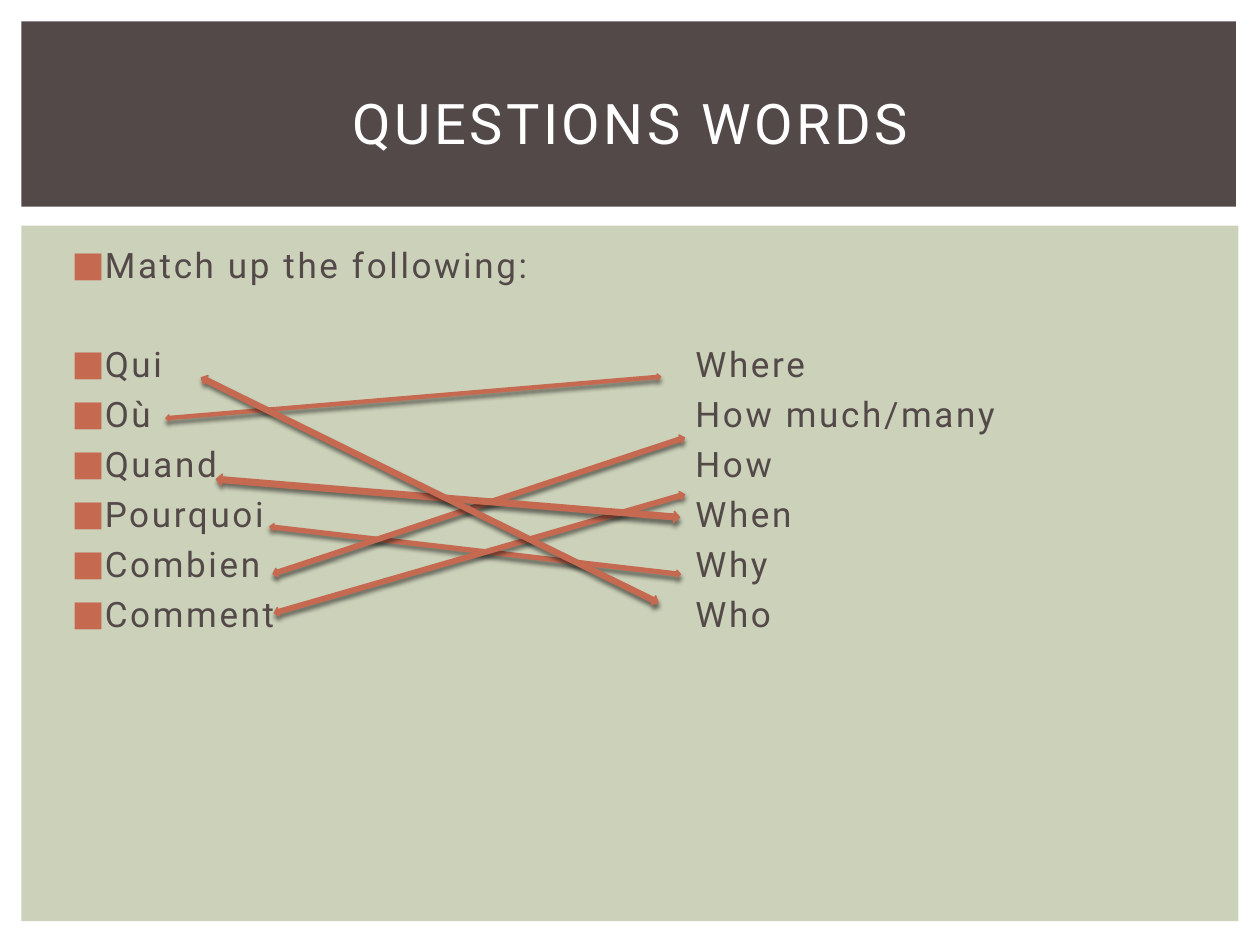
from dataclasses import dataclass

from lxml.etree import SubElement
from pptx import Presentation
from pptx.dml.color import RGBColor
from pptx.enum.shapes import MSO_SHAPE
from pptx.enum.text import MSO_ANCHOR, PP_ALIGN
from pptx.oxml.ns import qn
from pptx.util import Inches, Pt


@dataclass(frozen=True)
class Theme:
    font: str = "Roboto"
    dark: str = "534949"
    panel: str = "CCD1B9"
    accent: str = "C66951"
    white: str = "FFFFFF"
    title_size: float = 32
    body_size: float = 20
    line_gap: float = 4.6
    intro_gap: float = 32.7


@dataclass(frozen=True)
class MatchArrow:
    left: float
    top: float
    width: float
    height: float
    angle: float


THEME = Theme()
PAIRS = [("Qui", "Where"), ("Où", "How much/many"), ("Quand", "How"),
         ("Pourquoi", "When"), ("Combien", "Why"), ("Comment", "Who")]
ARROWS = [
    MatchArrow(2.13, 4.34, 3.28, 0.06, 6.6),    # Pourquoi - Why
    MatchArrow(2.11, 4.36, 3.39, 0.07, 343.9),  # Comment - How
    MatchArrow(2.08, 3.98, 3.44, 0.07, 341.7),  # Combien - How much/many
    MatchArrow(1.71, 3.91, 3.69, 0.09, 4.7),    # Quand - When
    MatchArrow(1.31, 3.13, 3.94, 0.05, 355.2),  # Où - Where
    MatchArrow(1.39, 3.85, 4.04, 0.08, 26.2),   # Qui - Who
]


def add_box(s, kind, left, top, width, height, color):
    sp = s.shapes.add_shape(kind, Inches(left), Inches(top),
                            Inches(width), Inches(height))
    sp.shadow.inherit = False
    sp.fill.solid()
    sp.fill.fore_color.rgb = RGBColor.from_string(color)
    sp.line.fill.background()
    return sp


def add_frame(s, left, top, width, height, anchor=MSO_ANCHOR.TOP):
    tf = s.shapes.add_textbox(Inches(left), Inches(top),
                              Inches(width), Inches(height)).text_frame
    tf.word_wrap = True
    tf.vertical_anchor = anchor
    return tf


def write(p, text: str, *, size: float, color: str, spacing: float,
          align=PP_ALIGN.LEFT, before: float = 0):
    p.alignment = align
    p.space_before = Pt(before)
    r = p.add_run()
    r.text = text
    r.font.name = THEME.font
    r.font.size = Pt(size)
    r.font.color.rgb = RGBColor.from_string(color)
    r._r.get_or_add_rPr().set("spc", str(round(spacing * 100)))


def add_bullet(p, tab: float):
    """Square bullet with a hanging indent and one tab stop."""
    pPr = p._p.get_or_add_pPr()
    pPr.set("marL", str(Inches(0.3)))
    pPr.set("indent", str(Inches(-0.25)))
    color = SubElement(pPr, qn("a:buClr"))
    SubElement(color, qn("a:srgbClr"), val=THEME.accent)
    SubElement(pPr, qn("a:buFont"), typeface=THEME.font)
    SubElement(pPr, qn("a:buChar"), char="■")
    tabs = SubElement(pPr, qn("a:tabLst"))
    SubElement(tabs, qn("a:tab"), pos=str(Inches(tab)), algn="l")


def add_arrow(s, arrow: MatchArrow):
    sp = add_box(s, MSO_SHAPE.LEFT_RIGHT_ARROW, arrow.left, arrow.top,
                 arrow.width, arrow.height, THEME.accent)
    sp.rotation = arrow.angle
    sp.line.color.rgb = RGBColor.from_string(THEME.accent)
    sp.line.width = Pt(0.79)
    effects = sp._element.spPr.find(qn("a:effectLst"))
    shadow = SubElement(effects, qn("a:outerShdw"), blurRad=str(Pt(2.5)),
                        dist=str(Pt(2)), dir="5400000", rotWithShape="0")
    black = SubElement(shadow, qn("a:srgbClr"), val="000000")
    SubElement(black, qn("a:alpha"), val="50000")


prs = Presentation()
prs.slide_width, prs.slide_height = Inches(10), Inches(7.5)
s = prs.slides.add_slide(prs.slide_layouts[6])

# Background panels
add_box(s, MSO_SHAPE.RECTANGLE, 0.17, 1.79, 9.66, 5.52, THEME.panel)
add_box(s, MSO_SHAPE.RECTANGLE, 0.17, 0.17, 9.64, 1.47, THEME.dark)

# Word lists: French on the left, English at the tab stop
tf = add_frame(s, 0.42, 1.88, 9.19, 4.82)
lines = ["Match up the following:"] + ["\t".join(pair) for pair in PAIRS]
for i, line in enumerate(lines):
    p = tf.paragraphs[0] if i == 0 else tf.add_paragraph()
    write(p, line, size=THEME.body_size, color=THEME.dark, spacing=1.5,
          before=THEME.intro_gap if i == 1 else THEME.line_gap)
    add_bullet(p, tab=5)

# Title
tf = add_frame(s, 0.42, 0.39, 9.17, 1.15, MSO_ANCHOR.MIDDLE)
write(tf.paragraphs[0], "QUESTIONS WORDS", size=THEME.title_size,
      color=THEME.white, spacing=2, align=PP_ALIGN.CENTER)

# Matching arrows
for arrow in ARROWS:
    add_arrow(s, arrow)

prs.save("out.pptx")
